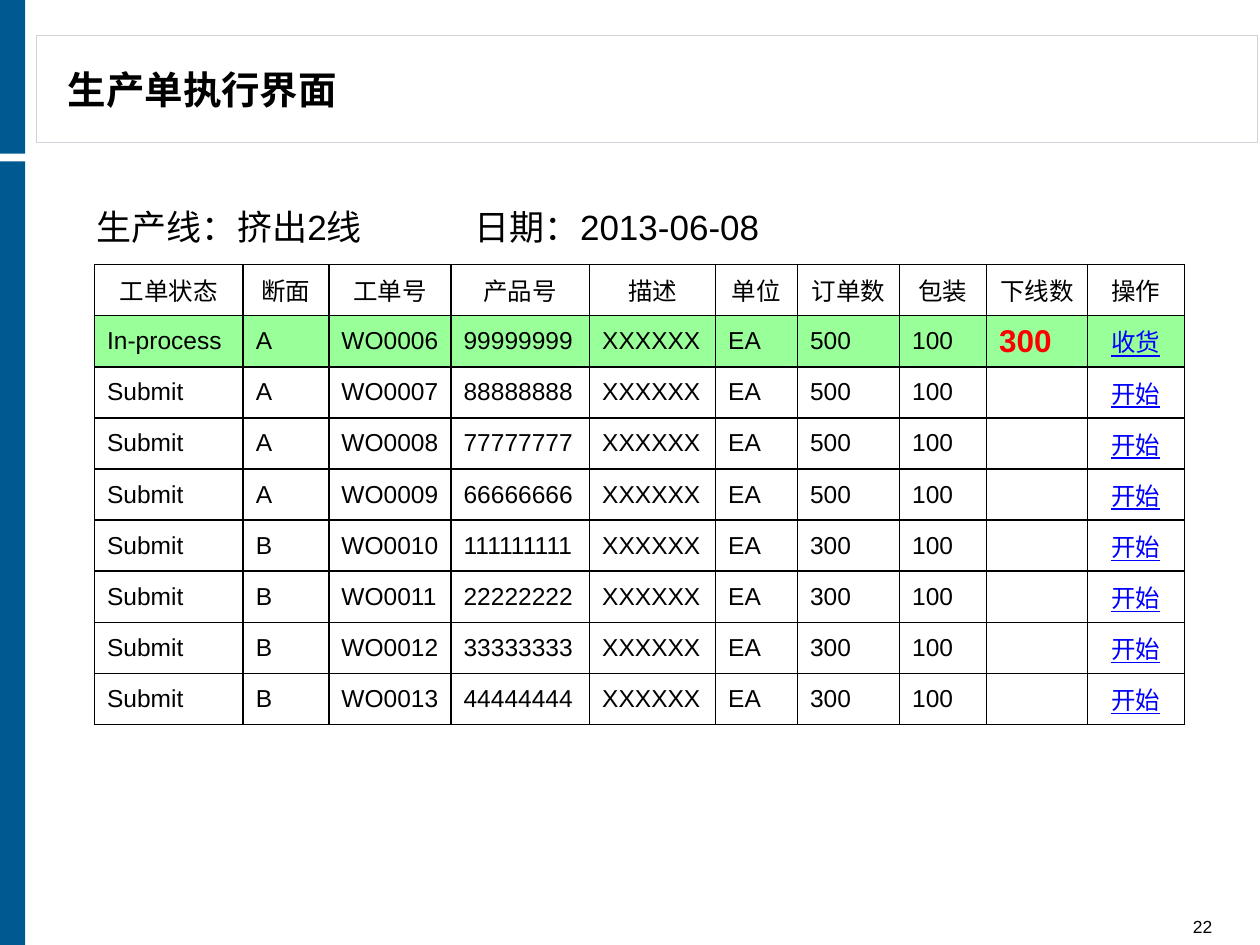
from dataclasses import dataclass

from lxml import etree
from pptx import Presentation
from pptx.dml.color import RGBColor
from pptx.enum.shapes import MSO_SHAPE
from pptx.enum.text import MSO_ANCHOR, PP_ALIGN
from pptx.oxml.ns import qn
from pptx.util import Inches, Pt

RECTANGLE = MSO_SHAPE.RECTANGLE
TOP, MIDDLE, BOTTOM = MSO_ANCHOR.TOP, MSO_ANCHOR.MIDDLE, MSO_ANCHOR.BOTTOM
LEFT, CENTER, RIGHT = PP_ALIGN.LEFT, PP_ALIGN.CENTER, PP_ALIGN.RIGHT


@dataclass(frozen=True)
class Theme:
    font: str = "Arial"
    black: str = "000000"
    white: str = "FFFFFF"
    blue: str = "005A92"
    frame: str = "D0D3DA"
    active: str = "99FF99"
    alert: str = "FF0000"
    link: str = "0000FF"
    title_size: int = 22
    subtitle_size: int = 20
    alert_size: int = 18
    table_size: int = 14
    number_size: int = 10


class SlideBuilder:
    def __init__(self, slide, theme):
        self.slide = slide
        self.theme = theme

    def format_text(self, paragraph, size, color=None, bold=False, underline=False, align=LEFT):
        paragraph.alignment = align
        for run in paragraph.runs:
            font = run.font
            font.name = self.theme.font
            font.size = Pt(size)
            font.bold = bold
            font.underline = underline
            font.color.rgb = RGBColor.from_string(color or self.theme.black)

    def rectangle(self, left, top, width, height, fill, line=None):
        shape = self.slide.shapes.add_shape(
            RECTANGLE, Inches(left), Inches(top), Inches(width), Inches(height))
        shape.shadow.inherit = False
        shape.fill.solid()
        shape.fill.fore_color.rgb = RGBColor.from_string(fill)
        if line:
            shape.line.color.rgb = RGBColor.from_string(line)
            shape.line.width = Pt(0.75)
        else:
            shape.line.fill.background()

    def text(self, left, top, width, height, text, size, anchor=TOP, padding=0, tab=None, **style):
        shape = self.slide.shapes.add_textbox(
            Inches(left), Inches(top), Inches(width), Inches(height))
        frame = shape.text_frame
        frame.word_wrap = True
        frame.vertical_anchor = anchor
        frame.margin_top = frame.margin_bottom = Inches(padding)
        frame.text = text
        paragraph = frame.paragraphs[0]
        self.format_text(paragraph, size, **style)
        if tab:
            properties = paragraph._p.get_or_add_pPr()
            tabs = etree.SubElement(properties, qn("a:tabLst"))
            etree.SubElement(tabs, qn("a:tab"), pos=str(Inches(tab)), algn="l")

    def cell_borders(self, cell):
        properties = cell._tc.get_or_add_tcPr()
        for index, side in enumerate(("a:lnL", "a:lnR", "a:lnT", "a:lnB")):
            line = etree.Element(qn(side), w=str(Pt(1)))
            fill = etree.SubElement(line, qn("a:solidFill"))
            etree.SubElement(fill, qn("a:srgbClr"), val=self.theme.black)
            properties.insert(index, line)

    def table(self, left, top, column_widths, row_height, rows, cell_style):
        table = self.slide.shapes.add_table(
            len(rows), len(column_widths), Inches(left), Inches(top),
            Inches(sum(column_widths)), Inches(row_height * len(rows))).table
        table.first_row = table.horz_banding = False
        for column, width in zip(table.columns, column_widths):
            column.width = Inches(width)
        for row_index, values in enumerate(rows):
            table.rows[row_index].height = Inches(row_height)
            for column_index, value in enumerate(values):
                cell = table.cell(row_index, column_index)
                fill, style = cell_style(row_index, column_index)
                cell.fill.solid()
                cell.fill.fore_color.rgb = RGBColor.from_string(fill)
                self.cell_borders(cell)
                cell.vertical_anchor = MIDDLE
                cell.text_frame.text = value
                self.format_text(cell.text_frame.paragraphs[0], **style)


HEADERS = ["工单状态", "断面", "工单号", "产品号", "描述",
           "单位", "订单数", "包装", "下线数", "操作"]
COLUMN_WIDTHS = [1.18, 0.68, 0.97, 1.1, 1, 0.65, 0.81, 0.69, 0.8, 0.77]
ACTIVE_ROW = 1
OUTPUT_COLUMN = HEADERS.index("下线数")
ACTION_COLUMN = HEADERS.index("操作")

# Status, section, order number, product, quantity, output, action
ORDERS = [
    ("In-process", "A", "WO0006", "99999999", "500", "300", "收货"),
    ("Submit", "A", "WO0007", "88888888", "500", "", "开始"),
    ("Submit", "A", "WO0008", "77777777", "500", "", "开始"),
    ("Submit", "A", "WO0009", "66666666", "500", "", "开始"),
    ("Submit", "B", "WO0010", "111111111", "300", "", "开始"),
    ("Submit", "B", "WO0011", "22222222", "300", "", "开始"),
    ("Submit", "B", "WO0012", "33333333", "300", "", "开始"),
    ("Submit", "B", "WO0013", "44444444", "300", "", "开始"),
]


def main():
    theme = Theme()
    presentation = Presentation()
    presentation.slide_width = Inches(10)
    presentation.slide_height = Inches(7.5)
    slide = presentation.slides.add_slide(presentation.slide_layouts[6])
    builder = SlideBuilder(slide, theme)

    # Title frame and side bars
    builder.rectangle(0.29, 0.28, 9.69, 0.85, theme.white, theme.frame)
    builder.rectangle(0, 1.28, 0.2, 6.22, theme.blue)
    builder.rectangle(0, 0, 0.2, 1.22, theme.blue)

    # Title, page number and production line
    builder.text(0.44, 0.31, 6.3, 0.79, "生产单执行界面", theme.title_size, MIDDLE, bold=True)
    builder.text(8.78, 7.26, 0.94, 0.18, "22", theme.number_size, BOTTOM, align=RIGHT)
    builder.text(0.67, 1.58, 6.51, 0.44, "生产线：挤出2线\t日期：2013-06-08",
                 theme.subtitle_size, padding=0.05, tab=3)

    # Work order table
    def order_cell_style(row, column):
        fill = theme.active if row == ACTIVE_ROW else theme.white
        style = {"size": theme.table_size}
        if row == 0:
            style.update(align=CENTER)
        elif column == ACTION_COLUMN:
            style.update(align=CENTER, color=theme.link, underline=True)
        elif column == OUTPUT_COLUMN:
            style.update(size=theme.alert_size, color=theme.alert, bold=True)
        return fill, style

    rows = [HEADERS] + [
        [status, section, order, product, "XXXXXX", "EA", quantity, "100", output, action]
        for status, section, order, product, quantity, output, action in ORDERS
    ]
    builder.table(0.75, 2.1, COLUMN_WIDTHS, 3.65 / len(rows), rows, order_cell_style)

    presentation.save("out.pptx")


if __name__ == "__main__":
    main()
